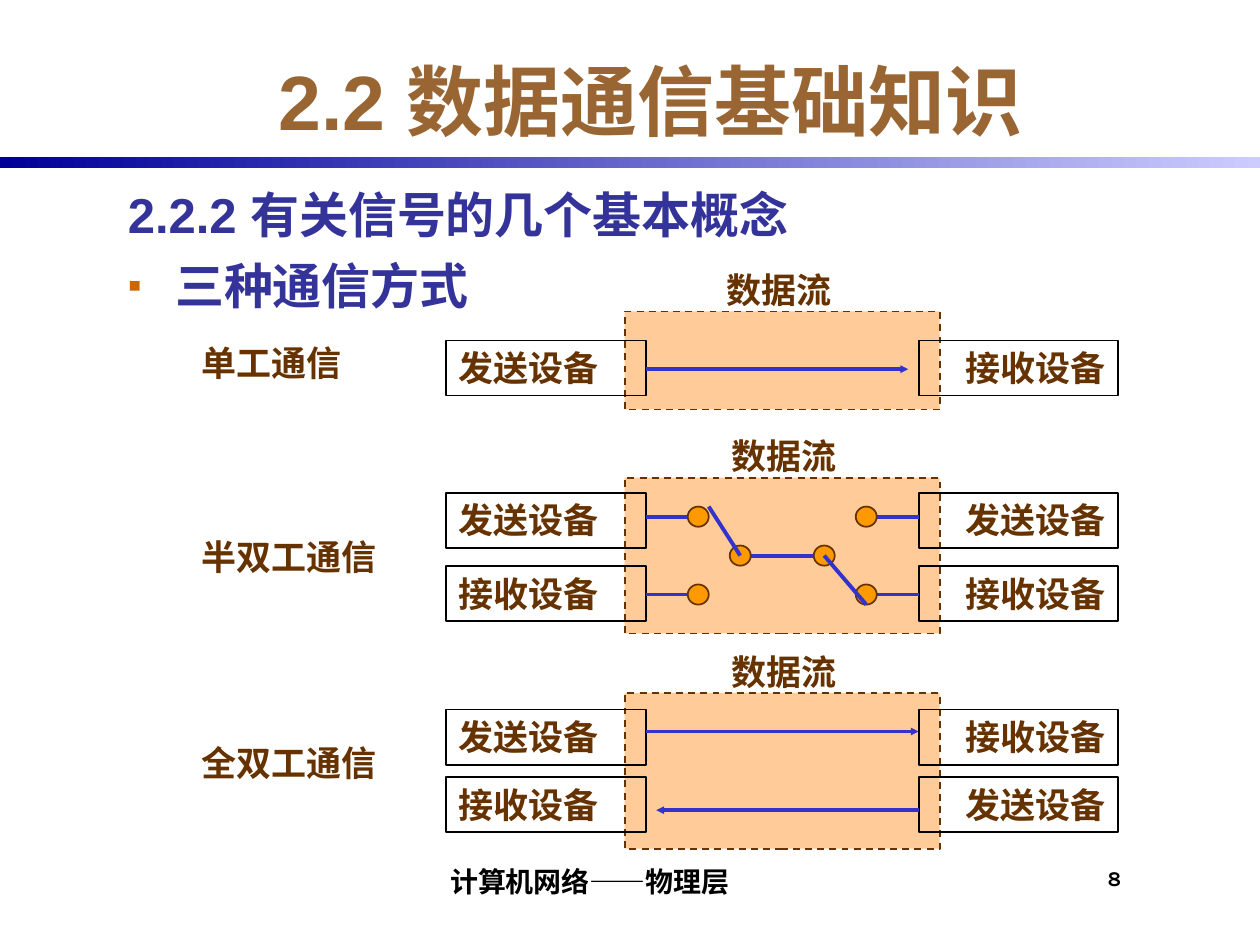
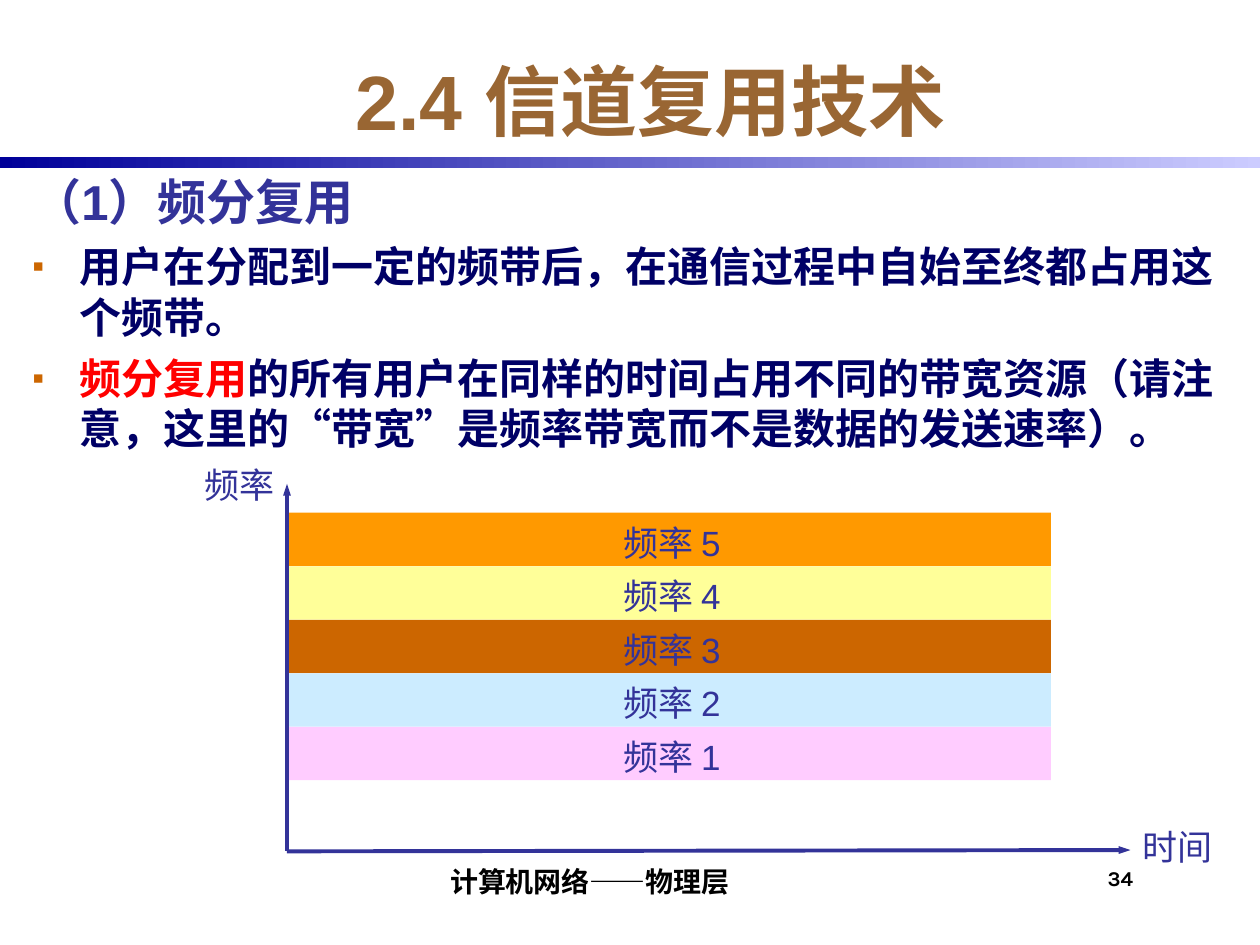
from lxml.etree import SubElement
from pptx import Presentation
from pptx.dml.color import RGBColor
from pptx.enum.dml import MSO_LINE
from pptx.enum.shapes import MSO_CONNECTOR, MSO_SHAPE
from pptx.enum.text import MSO_ANCHOR, PP_ALIGN
from pptx.oxml.ns import qn
from pptx.util import Pt

RECT, OVAL = MSO_SHAPE.RECTANGLE, MSO_SHAPE.OVAL
LEFT, MID, RIGHT = PP_ALIGN.LEFT, PP_ALIGN.CENTER, PP_ALIGN.RIGHT
TOP, CENTRE, BOTTOM = MSO_ANCHOR.TOP, MSO_ANCHOR.MIDDLE, MSO_ANCHOR.BOTTOM
DASH, LINE = MSO_LINE.DASH, MSO_CONNECTOR.STRAIGHT

rgb = RGBColor.from_string
BLACK, BROWN, TAN = "000000", "663300", "996633"
INDIGO, NAVY, RED = "333399", "000066", "FF0000"
BLUE, RUST, ORANGE, PEACH = "3333CC", "CC6600", "FF9900", "FFCC99"
SERIF, SANS, FOOT = "Times New Roman", "Arial", "Karla"


def write(shape, text, size, color, face, bold=True, align=LEFT, anchor=TOP):
    """Put one styled paragraph into a shape and return its text frame."""
    frame = shape.text_frame
    frame.word_wrap = True
    frame.vertical_anchor = anchor
    par = frame.paragraphs[0]
    par.text = text
    par.alignment = align
    par.font.size = Pt(size)
    par.font.name = face
    par.font.bold = bold
    par.font.color.rgb = rgb(color)
    return frame


def link(slide, ends, color, head=None):
    """Draw a line through ends (x1, y1, x2, y2); head is the arrowhead length."""
    line = slide.shapes.add_connector(LINE, *map(Pt, ends))
    line.line.color.rgb = rgb(color)
    line.line.width = Pt(2.25)
    props = line.element.spPr
    if head:
        SubElement(props.find(qn("a:ln")), qn("a:tailEnd"),
                   type="triangle", w="sm", len=head)
    SubElement(props, qn("a:effectLst"))


deck = Presentation()
deck.slide_width, deck.slide_height = Pt(720), Pt(540)

# Each body line: bulleted, size, space before, runs of (text, colour)
pages = [
    ("2.2 数据通信基础知识", "8", (66, 102, 612, 360), [
        (False, 28, 0, [("2.2.2 有关信号的几个基本概念", INDIGO)]),
        (True, 28, 7, [("三种通信方式", INDIGO)]),
    ]),
    ("2.4 信道复用技术", "34", (11.5, 94.5, 700.5, 209.5), [
        (False, 28, 0, [("（1）频分复用", INDIGO)]),
        (True, 24, 6, [("用户在分配到一定的频带后，在通信过程中自始至终都占用这个频带。", NAVY)]),
        (True, 24, 6, [("频分复用", RED),
                       ("的所有用户在同样的时间占用不同的带宽资源（请注意，这里的“带宽”"
                        "是频率带宽而不是数据的发送速率）。", NAVY)]),
    ]),
]

# Shared frame and body text
for title, number, area, lines in pages:
    slide = deck.slides.add_slide(deck.slide_layouts[6])
    shapes = slide.shapes
    band = shapes.add_shape(RECT, Pt(0), Pt(90), Pt(720), Pt(6))
    band.shadow.inherit = False
    band.line.fill.background()
    band.fill.gradient()
    band.fill.gradient_angle = 180
    for stop, color in zip(band.fill.gradient_stops, ("CCCCFF", "000099")):
        stop.color.rgb = rgb(color)

    box = shapes.add_textbox(Pt(66), Pt(24), Pt(612), Pt(66))
    write(box, title, 44, TAN, SANS, align=MID, anchor=CENTRE)
    box = shapes.add_textbox(Pt(630), Pt(491.5), Pt(42), Pt(30))
    frame = write(box, number, 12, BLACK, FOOT)
    frame.margin_left = frame.margin_top = Pt(3)
    frame.margin_right = frame.margin_bottom = 0
    box = shapes.add_textbox(Pt(149.5), Pt(486), Pt(372), Pt(30))
    frame = write(box, "计算机网络——物理层", 16, BLACK, FOOT, align=MID, anchor=BOTTOM)
    frame.margin_left = frame.margin_bottom = Pt(3)
    frame.margin_right = frame.margin_top = 0

    body = shapes.add_textbox(*map(Pt, area)).text_frame
    body.word_wrap = True
    for i, (dotted, size, gap, runs) in enumerate(lines):
        par = body.add_paragraph() if i else body.paragraphs[0]
        props = par._p.get_or_add_pPr()
        props.set("marL", str(Pt(27)))
        props.set("indent", str(-Pt(27)))
        if dotted:
            tint = SubElement(props, qn("a:buClr"))
            SubElement(tint, qn("a:srgbClr"), val=RUST)
            SubElement(props, qn("a:buSzPct"), val="80000")
            SubElement(props, qn("a:buFont"), typeface=SANS)
            SubElement(props, qn("a:buChar"), char="▪")
        par.space_before = Pt(gap)
        par.font.size = Pt(size)
        par.font.name = SANS
        par.font.bold = True
        par.font.color.rgb = rgb(runs[0][1])
        for text, color in runs:
            run = par.add_run()
            run.text = text
            if color != runs[0][1]:
                run.font.color.rgb = rgb(color)

modes, bands = deck.slides

# Three modes of communication: channel, device pairs, labels
SEND, GET = "发送设备", "接收设备"
rows = [
    ("单工通信", 191.5, 408, 178, 56, [(194.5, SEND, GET)]),
    ("半双工通信", 302.5, 411, 273, 89, [(281.5, SEND, SEND), (323.5, GET, GET)]),
    ("全双工通信", 420, 411, 396, 89, [(405.5, SEND, GET), (444, GET, SEND)]),
]
shapes = modes.shapes
for mode, mode_y, flow_x, top, high, pairs in rows:
    pipe = shapes.add_shape(RECT, Pt(357), Pt(top), Pt(180), Pt(high))
    pipe.shadow.inherit = False
    pipe.fill.solid()
    pipe.fill.fore_color.rgb = rgb(PEACH)
    pipe.line.color.rgb = rgb(BROWN)
    pipe.line.width = Pt(1)
    pipe.line.dash_style = DASH
    for y, *names in pairs:
        for x, name, align in zip((255, 525), names, (LEFT, RIGHT)):
            unit = shapes.add_shape(RECT, Pt(x), Pt(y), Pt(114), Pt(31.5))
            unit.shadow.inherit = False
            unit.fill.background()
            unit.line.color.rgb = rgb(BLACK)
            unit.line.width = Pt(1)
            write(unit, name, 20, BROWN, SERIF, align=align)
    for x, y, wide, text in ((flow_x, top - 28, 84, "数据流"), (108, mode_y, 144, mode)):
        box = shapes.add_textbox(Pt(x), Pt(y), Pt(wide), Pt(32))
        write(box, text, 20, BROWN, SERIF)

for ends in ((369, 211, 519, 211), (369, 418, 525, 418), (525, 463, 375, 463)):
    link(modes, ends, BLUE, head="sm")

# Half-duplex switch: wires, contacts, then the two levers
HIGH, HUB, LOW = 295.25, 317.5, 339.75
for y in (HIGH, LOW):
    link(modes, (369, y, 393, y), BLUE)
    link(modes, (501, y, 525, y), BLUE)
link(modes, (423, HUB, 471, HUB), BLUE)
spots = [(x, y) for x in (399, 495) for y in (HIGH, LOW)] + [(423, HUB), (471, HUB)]
for x, y in spots:
    dot = shapes.add_shape(OVAL, Pt(x - 6), Pt(y - 5.75), Pt(12), Pt(11.5))
    dot.shadow.inherit = False
    dot.fill.solid()
    dot.fill.fore_color.rgb = rgb(ORANGE)
    dot.line.color.rgb = rgb(BROWN)
    dot.line.width = Pt(1)
link(modes, (423, HUB, 405, 289.5), BLUE)
link(modes, (471, HUB, 495, 345.5), BLUE)

# Frequency bands over time
shapes = bands.shapes
labels = [("频率", 109.5, 264, 54, SERIF), ("时间", 646, 471, 54, SERIF)]
for i, color in enumerate((ORANGE, "FFFF99", RUST, "CCECFF", "FFCCFF")):
    y = 293 + 30.6 * i
    strip = shapes.add_shape(RECT, Pt(164), Pt(y), Pt(436.5), Pt(30.5))
    strip.shadow.inherit = False
    strip.fill.solid()
    strip.fill.fore_color.rgb = rgb(color)
    strip.line.fill.background()
    labels.append((f"频率 {5 - i}", 349, y + 4, 75, SANS))
for text, x, y, wide, face in labels:
    box = shapes.add_textbox(Pt(x), Pt(y), Pt(wide), Pt(29))
    frame = write(box, text, 20, INDIGO, face, bold=False)
    frame.margin_right = 0
    frame.paragraphs[0].line_spacing = 0.9
link(bands, (164, 486.5, 646, 485.75), INDIGO, head="med")
link(bands, (164, 486, 164, 276.5), INDIGO, head="med")

deck.save("out.pptx")
